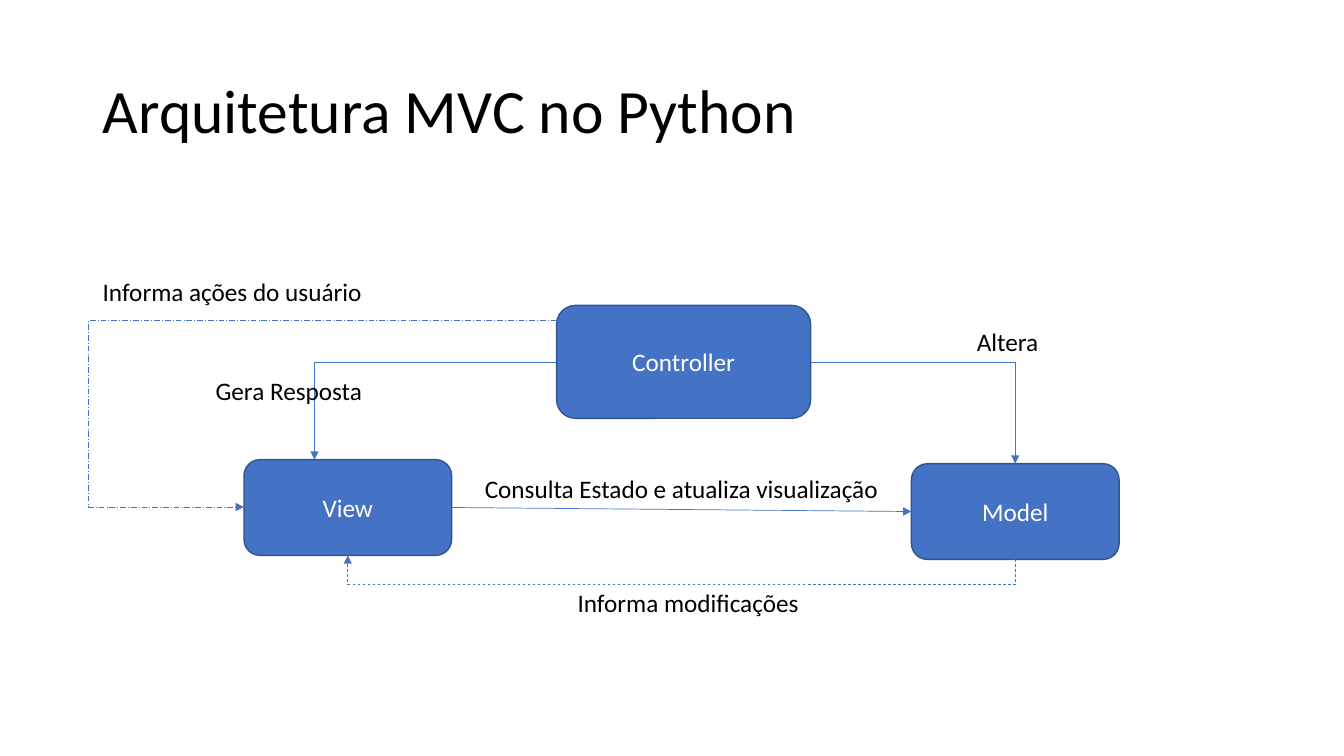
from lxml import etree
from pptx import Presentation, util as u
from pptx.dml.color import RGBColor
from pptx.enum import dml, shapes, text
from pptx.oxml import ns

PX = 9144  # EMU; 100 px to the inch
BLACK = RGBColor(0x00, 0x00, 0x00)
WHITE = RGBColor(0xFF, 0xFF, 0xFF)
BLUE = RGBColor(0x44, 0x72, 0xC4)
NAVY = RGBColor(0x32, 0x54, 0x91)

CONTROLLER = (552, 303, 252, 112)
MODEL = (904, 460, 206, 95)
VIEW = (242, 456, 206, 95)
LABELS = [
    ("Gera Resposta", (204, 367, 167, 40)),
    ("Altera", (959, 319, 82, 40)),
    ("Consulta Estado e atualiza visualização", (471, 465, 414, 40)),
    ("Informa ações do usuário", (92, 269, 280, 40)),
    ("Informa modificações", (563, 578, 242, 40)),
]


def emu(lengths):
    return [u.Emu(round(length * PX)) for length in lengths]


def write(shape, words, size, color, frame_format, para_format):
    frame = shape.text_frame
    frame.text = words
    para = frame.paragraphs[0]
    font_format = {"name": "Calibri", "size": u.Pt(size)}
    for target, values in ((frame, frame_format), (para, para_format), (para.runs[0].font, font_format)):
        for name, value in values.items():
            setattr(target, name, value)
    para.runs[0].font.color.rgb = color


def add_title(page, box, words):
    title = page.shapes.title
    title.left, title.top, title.width, title.height = emu(box)
    write(title, words, 44, BLACK,
          {"vertical_anchor": text.MSO_ANCHOR.MIDDLE, "auto_size": text.MSO_AUTO_SIZE.NONE},
          {"alignment": text.PP_ALIGN.LEFT, "line_spacing": 0.9})


def add_node(page, box, words):
    node = page.shapes.add_shape(shapes.MSO_SHAPE.ROUNDED_RECTANGLE, *emu(box))
    node.shadow.inherit = False
    node.fill.solid()
    node.fill.fore_color.rgb = BLUE
    node.line.color.rgb = NAVY
    node.line.width = u.Pt(1)
    write(node, words, 18, WHITE, {"vertical_anchor": text.MSO_ANCHOR.MIDDLE},
          {"alignment": text.PP_ALIGN.CENTER})
    return node


def add_label(page, box, words):
    label = page.shapes.add_textbox(*emu(box))
    write(label, words, 18, BLACK,
          {"word_wrap": False, "auto_size": text.MSO_AUTO_SIZE.SHAPE_TO_FIT_TEXT}, {})


def add_arrow(page, start, end, kind=shapes.MSO_CONNECTOR.STRAIGHT, dash=None):
    arrow = page.shapes.add_connector(kind, *emu(start + end))
    arrow.line.color.rgb = BLUE
    arrow.line.width = u.Pt(0.5)
    if dash:
        arrow.line.dash_style = dash
    properties = arrow._element.spPr
    etree.SubElement(properties.find(ns.qn("a:ln")), ns.qn("a:tailEnd"), type="triangle")
    etree.SubElement(properties, ns.qn("a:effectLst"))
    return arrow


def add_elbow(page, start, end, bend=None, upright=False, dash=None):
    """Bend once at the corner, or twice at x = bend (y = bend if upright)."""
    axis = 1 if upright else 0
    first, last = start, end
    if upright:  # lay the route on its side; the rotation below raises it again
        mid_x, mid_y = (start[0] + end[0]) / 2, (start[1] + end[1]) / 2
        first, last = [(mid_x + y - mid_y, mid_y - x + mid_x) for x, y in (start, end)]
    elbow = add_arrow(page, first, last, shapes.MSO_CONNECTOR.ELBOW, dash)
    properties = elbow._element.spPr
    geometry = properties.find(ns.qn("a:prstGeom"))
    if upright:
        properties.find(ns.qn("a:xfrm")).set("rot", str(90 * 60000))
    if bend is None:
        geometry.set("prst", "bentConnector2")
    else:
        share = (bend - start[axis]) / (end[axis] - start[axis])
        etree.SubElement(geometry.find(ns.qn("a:avLst")), ns.qn("a:gd"),
                         name="adj1", fmla=f"val {round(share * 100000)}")


def add_diagram(page):
    add_node(page, CONTROLLER, "Controller")
    model = add_node(page, MODEL, "Model")
    view = add_node(page, VIEW, "View")

    left, top, width, height = CONTROLLER
    middle = top + height // 2 + 1
    model_x = MODEL[0] + MODEL[2] // 2
    view_x, view_y = VIEW[0] + VIEW[2] // 2, VIEW[1] + VIEW[3] // 2
    view_bottom, model_bottom = VIEW[1] + VIEW[3], MODEL[1] + MODEL[3]

    add_elbow(page, (left + width, middle), (model_x, MODEL[1]))
    add_elbow(page, (left, middle), (VIEW[0] + 70, VIEW[1]))
    add_elbow(page, (model_x, model_bottom), (view_x, view_bottom), bend=580,
              upright=True, dash=dml.MSO_LINE.DASH)
    add_elbow(page, (left, top + 15), (VIEW[0], view_y), bend=88,
              dash=dml.MSO_LINE.LONG_DASH_DOT)
    query = add_arrow(page, (VIEW[0] + VIEW[2], view_y), (MODEL[0], MODEL[1] + MODEL[3] // 2))
    query.begin_connect(view, 3)
    query.end_connect(model, 1)

    for words, box in LABELS:
        add_label(page, box, words)


def main():
    deck = Presentation()
    deck.slide_width, deck.slide_height = emu((1333, 750))
    page = deck.slides.add_slide(deck.slide_layouts.get_by_name("Title Only"))
    add_title(page, (92, 40, 1150, 145), "Arquitetura MVC no Python")
    add_diagram(page)
    deck.save("out.pptx")


if __name__ == "__main__":
    main()
